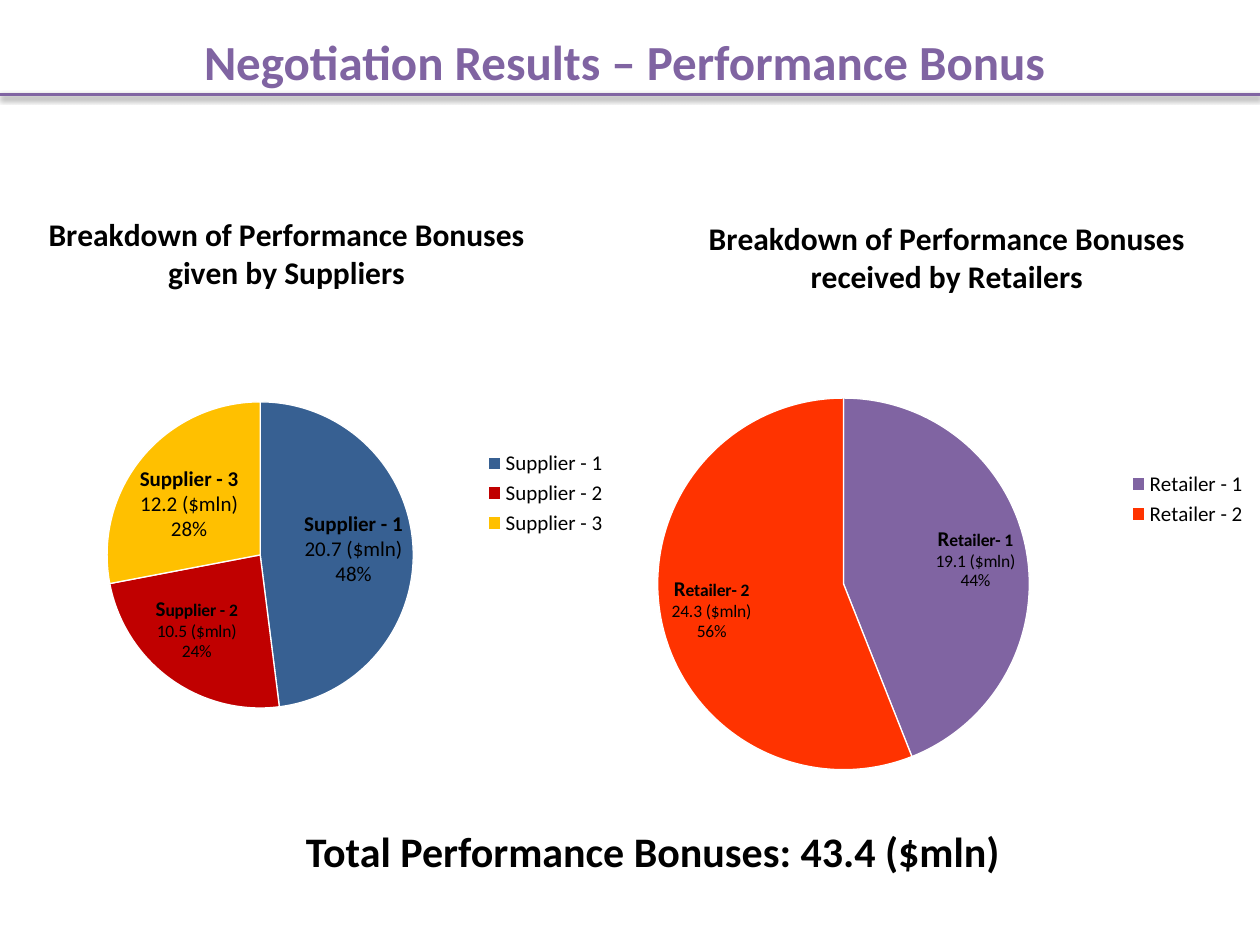
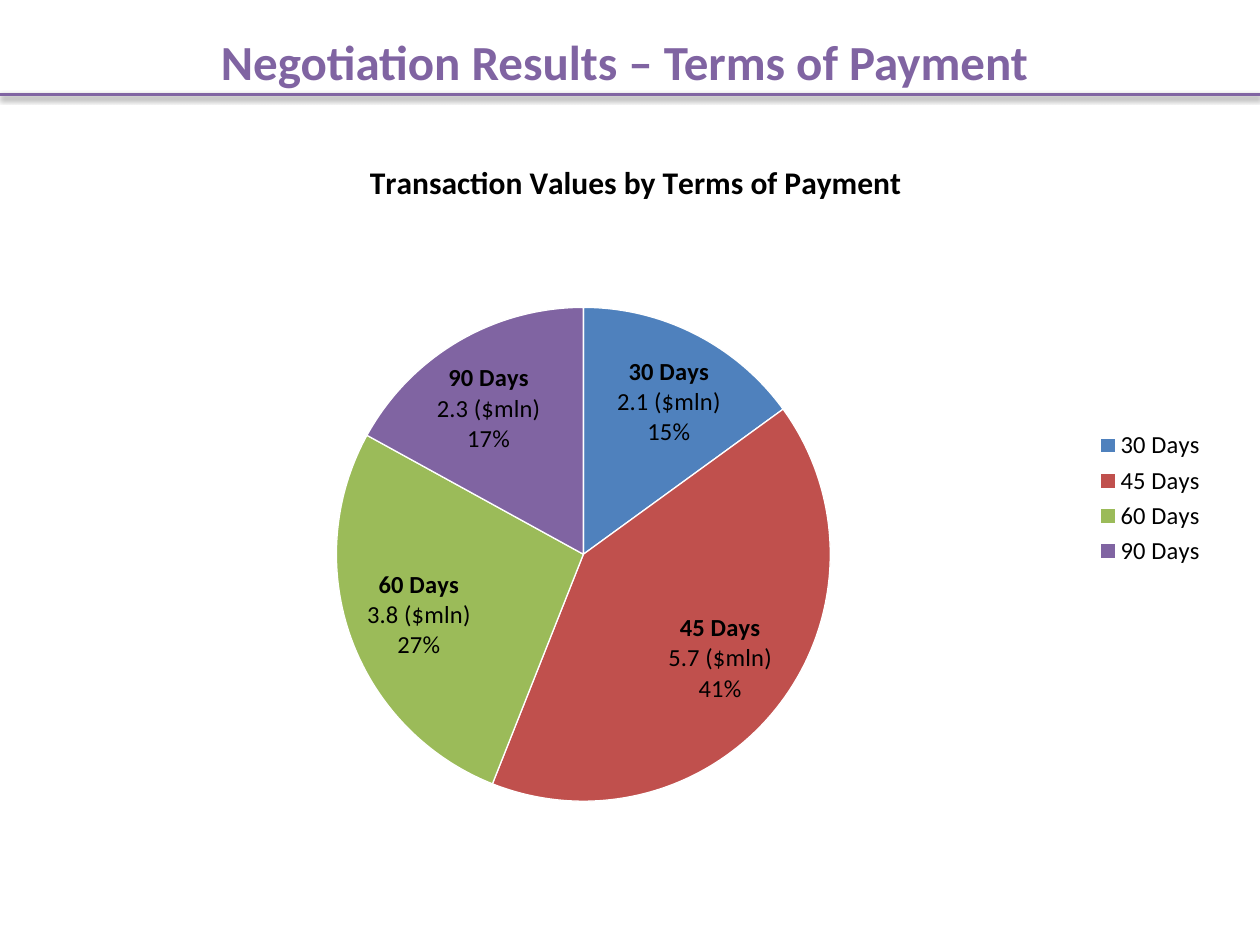
from lxml.etree import SubElement
from pptx import Presentation
from pptx.chart.data import CategoryChartData
from pptx.dml.color import RGBColor
from pptx.enum.chart import XL_CHART_TYPE, XL_LABEL_POSITION, XL_LEGEND_POSITION
from pptx.enum.shapes import MSO_CONNECTOR
from pptx.enum.text import MSO_ANCHOR, MSO_AUTO_SIZE, PP_ALIGN
from pptx.oxml.ns import qn
from pptx.oxml.xmlchemy import OxmlElement
from pptx.util import Inches, Pt

FONT = "Calibri"
COLORS = {
    "black": "000000", "white": "FFFFFF", "purple": "8064A2",
    "navy": "376092", "crimson": "C00000", "amber": "FFC000",
    "orange": "FF3300", "blue": "4F81BD", "red": "C0504D", "green": "9BBB59",
}


def rgb(name):
    """Return the palette colour of that name."""
    return RGBColor.from_string(COLORS[name])


def style_font(font, size, bold=False, color="black"):
    """Apply the deck's typeface with a size, weight and colour."""
    font.name, font.size, font.bold = FONT, Pt(size), bold
    font.color.rgb = rgb(color)


def write_text(paragraph, text, size=12, bold=False, color="black", align=None):
    """Add one formatted run to a paragraph."""
    run = paragraph.add_run()
    run.text = text
    style_font(run.font, size, bold, color)
    if align is not None:
        paragraph.alignment = align


def add_heading(slide, text, box=(0.08, 0.05, 9.75, 0.87)):
    """Place the slide title and the shadowed rule beneath it."""
    heading = slide.shapes.title
    heading.left, heading.top, heading.width, heading.height = map(Inches, box)
    frame = heading.text_frame
    frame.auto_size = MSO_AUTO_SIZE.NONE
    frame.vertical_anchor = MSO_ANCHOR.MIDDLE
    write_text(frame.paragraphs[0], text, size=28, bold=True, color="purple",
               align=PP_ALIGN.CENTER)

    rule = slide.shapes.add_connector(
        MSO_CONNECTOR.STRAIGHT, 0, Inches(0.75), Inches(10), Inches(0.75))
    rule.line.color.rgb = rgb("purple")
    rule.line.width = Pt(2)
    effects = SubElement(rule.element.spPr, qn("a:effectLst"))
    shadow = SubElement(effects, qn("a:outerShdw"), blurRad="40000",
                        dist="20000", dir="5400000", rotWithShape="0")
    tint = SubElement(shadow, qn("a:srgbClr"), val=COLORS["black"])
    SubElement(tint, qn("a:alpha"), val="38000")


def set_layout(part, index, **settings):
    """Give a chart part a manual layout as its child at the index."""
    for old in part.findall(qn("c:layout")):
        part.remove(old)
    layout = OxmlElement("c:layout")
    part.insert(index, layout)
    manual = SubElement(layout, qn("c:manualLayout"))
    for tag, value in settings.items():
        SubElement(manual, qn(f"c:{tag}"), val=str(value))


def label_slice(point, text, size):
    """Write a slice label with a bold first line and 12 pt or larger initial."""
    label = point.data_label
    frame = label.text_frame
    name, *details = text.split("\n")
    write_text(frame.paragraphs[0], name[0], size=max(size, 12), bold=True)
    write_text(frame.paragraphs[0], name[1:], size=size, bold=True)
    for detail in details:
        write_text(frame.add_paragraph(), detail, size=size)
    label.position = XL_LABEL_POSITION.BEST_FIT


def add_pie(slide, box, title, title_at, pie_at, diameter, slices, legend_size):
    """Draw a pie in the box from (category, share, colour, label, label size)."""
    left, top, width, height = box
    categories, shares, *_ = zip(*slices)
    data = CategoryChartData()
    data.categories = categories
    data.add_series("Series 1", shares)
    chart = slide.shapes.add_chart(
        XL_CHART_TYPE.PIE, *map(Inches, box), data).chart
    style_font(chart.font, 10)

    chart.has_title = True
    write_text(chart.chart_title.text_frame.paragraphs[0], title, size=18, bold=True)
    set_layout(chart.element.find(".//" + qn("c:title")), 1,
               xMode="edge", yMode="edge",
               x=title_at[0] / width, y=title_at[1] / height)
    set_layout(chart.element.find(".//" + qn("c:plotArea")), 0,
               layoutTarget="inner", xMode="edge", yMode="edge",
               x=pie_at[0] / width, y=pie_at[1] / height,
               w=diameter / width, h=diameter / height)

    chart.has_legend = True
    chart.legend.position = XL_LEGEND_POSITION.RIGHT
    chart.legend.include_in_layout = False
    style_font(chart.legend.font, legend_size)

    plot = chart.plots[0]
    plot.vary_by_categories = True
    for index, (_, _, color, label, size) in enumerate(slices):
        point = plot.series[0].points[index]
        point.format.fill.solid()
        point.format.fill.fore_color.rgb = rgb(color)
        point.format.line.color.rgb = rgb("white")
        point.format.line.width = Pt(0.75)
        label_slice(point, label, size)


def add_total(slide, text, box):
    """Place the total line below the charts."""
    frame = slide.shapes.add_textbox(*map(Inches, box)).text_frame
    frame.word_wrap = False
    frame.auto_size = MSO_AUTO_SIZE.SHAPE_TO_FIT_TEXT
    write_text(frame.paragraphs[0], text, size=24, bold=True)


def build_bonus_slide(slide):
    """Compare bonuses given by suppliers and received by retailers."""
    add_heading(slide, "Negotiation Results – Performance Bonus")
    add_pie(slide, (0, 1.25, 4.92, 5.33),
            "Breakdown of Performance Bonuses given by Suppliers",
            title_at=(0.34, 0.39), pie_at=(0.85, 1.94), diameter=2.43,
            legend_size=12, slices=[
                ("Supplier - 1", 48, "navy", "Supplier - 1\n20.7 ($mln)\n48%", 12),
                ("Supplier - 2", 24, "crimson", "Supplier - 2\n10.5 ($mln)\n24%", 10),
                ("Supplier - 3", 28, "amber", "Supplier - 3\n12.2 ($mln)\n28%", 12),
            ])
    add_pie(slide, (4.75, 1.67, 5.25, 4.58),
            "Breakdown of Performance Bonuses received by Retailers",
            title_at=(0.83, -0.03), pie_at=(0.47, 1.49), diameter=2.95,
            legend_size=12, slices=[
                ("Retailer - 1", 44, "purple", "Retailer- 1\n19.1 ($mln)\n44%", 10),
                ("Retailer - 2", 56, "orange", "Retailer- 2\n24.3 ($mln)\n56%", 10),
            ])
    add_total(slide, "Total Performance Bonuses: 43.4 ($mln)", (2.33, 6.5, 5.82, 0.5))


def build_payment_slide(slide):
    """Show transaction values by terms of payment."""
    add_heading(slide, "Negotiation Results – Terms of Payment")
    add_pie(slide, (0.42, 1.08, 9.25, 5.75),
            "Transaction Values by Terms of Payment",
            title_at=(2.47, 0.15), pie_at=(2.25, 1.36), diameter=3.92,
            legend_size=14, slices=[
                ("30 Days", 15, "blue", "30 Days\n2.1 ($mln)\n15%", 14),
                ("45 Days", 41, "red", "45 Days\n5.7 ($mln)\n41%", 14),
                ("60 Days", 27, "green", "60 Days\n3.8 ($mln)\n27%", 14),
                ("90 Days", 17, "purple", "90 Days\n2.3 ($mln)\n17%", 14),
            ])


def main():
    """Build and save the presentation."""
    deck = Presentation()
    deck.slide_width, deck.slide_height = Inches(10), Inches(7.5)
    title_only = deck.slide_layouts[5]
    for build in (build_bonus_slide, build_payment_slide):
        build(deck.slides.add_slide(title_only))
    deck.save("out.pptx")


if __name__ == "__main__":
    main()
